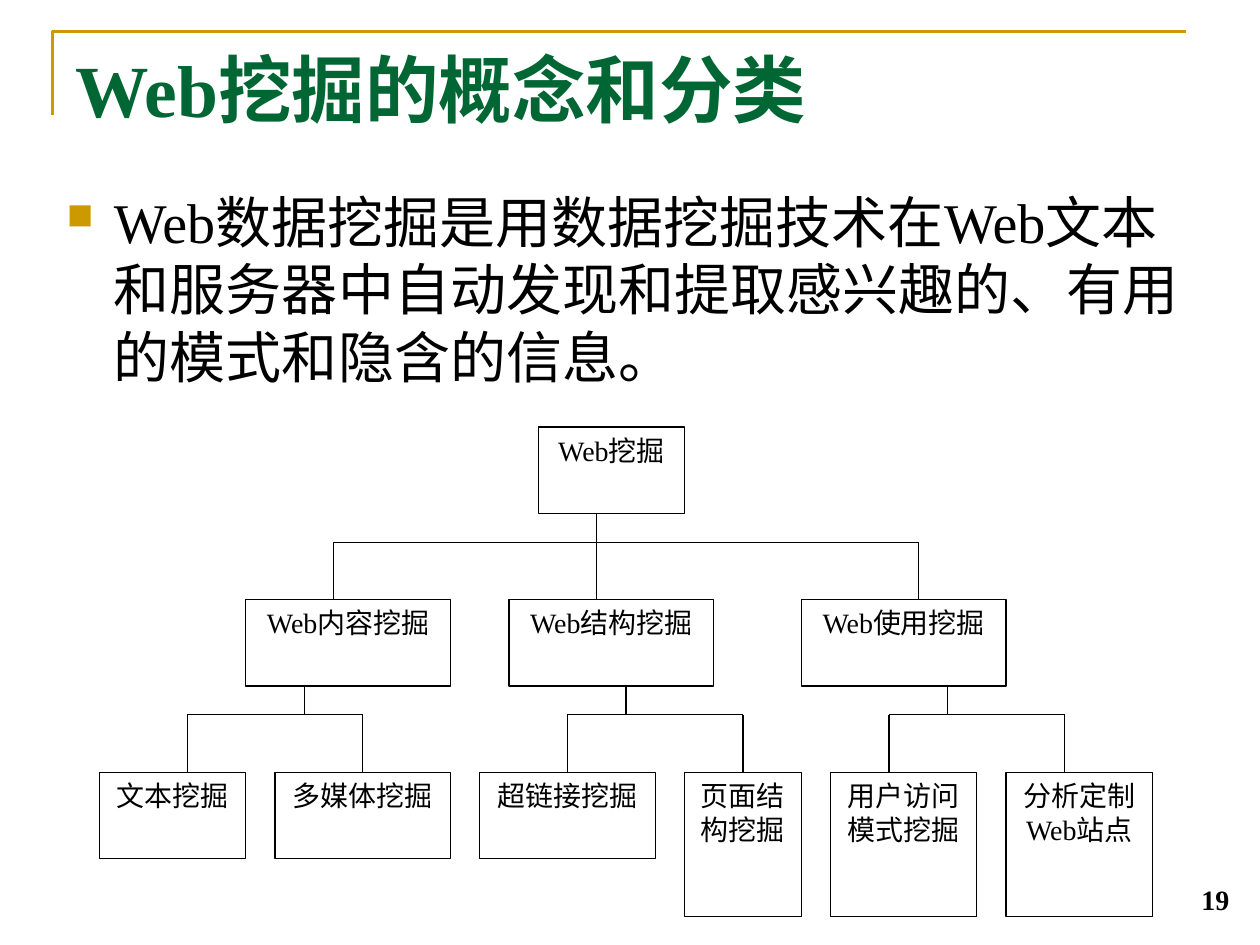
from pptx import Presentation
from pptx.dml.color import RGBColor
from pptx.enum import shapes, text
from pptx.oxml import parse_xml
from pptx.oxml.ns import nsdecls
from pptx.util import Pt

HUES = {"gold": "CC9900", "green": "006633", "ink": "000000", "paper": "FFFFFF"}
FONT = "Times New Roman"
LEFT, TOP = 56.9, 244
COL, ROW = 16.71, 16.45

TITLE = "Web挖掘的概念和分类"
BODY = "Web数据挖掘是用数据挖掘技术在Web文本和服务器中自动发现和提取感兴趣的、有用的模式和隐含的信息。"
NUMBER = "19"
# label, column, row, columns wide, rows high
NODES = [
    ("Web挖掘", 15, 0, 5, 3),
    ("Web内容挖掘", 5, 6, 7, 3),
    ("Web结构挖掘", 14, 6, 7, 3),
    ("Web使用挖掘", 24, 6, 7, 3),
    ("文本挖掘", 0, 12, 5, 3),
    ("多媒体挖掘", 6, 12, 6, 3),
    ("超链接挖掘", 13, 12, 6, 3),
    ("页面结构挖掘", 20, 12, 4, 5),
    ("用户访问模式挖掘", 25, 12, 5, 5),
    ("分析定制Web站点", 31, 12, 5, 5),
]
# stem column, stem row, drop columns
FORKS = [
    (17, 3, (8, 17, 28)),
    (7, 9, (3, 9)),
    (18, 9, (16, 22)),
    (29, 9, (27, 33)),
]

deck = Presentation()
deck.slide_width, deck.slide_height = Pt(720), Pt(540)
slide = deck.slides.add_slide(deck.slide_layouts[6])
parts = slide.shapes


def hue(name):
    return RGBColor.from_string(HUES[name])


def spot(col, row):
    return Pt(LEFT + col * COL), Pt(TOP + row * ROW)


def write(shape, words, size, color="ink", bold=False,
          align=text.PP_ALIGN.LEFT, anchor=text.MSO_ANCHOR.TOP):
    frame = shape.text_frame
    frame.word_wrap = True
    frame.vertical_anchor = anchor
    frame.text = words
    para = frame.paragraphs[0]
    para.alignment = align
    font = para.runs[0].font
    font.name, font.size, font.bold = FONT, Pt(size), bold
    font.color.rgb = hue(color)
    return para


def box(x, y, w, h):
    return parts.add_textbox(Pt(x), Pt(y), Pt(w), Pt(h))


def link(start, end):
    line = parts.add_connector(shapes.MSO_CONNECTOR.STRAIGHT, *start, *end)
    line.line.color.rgb = hue("ink")
    line.line.width = Pt(0.74)
    line._element.spPr.append(parse_xml(f"<a:effectLst {nsdecls('a')}/>"))


pen = parts.build_freeform(Pt(30), Pt(66))
pen.add_line_segments([(Pt(30), Pt(18)), (Pt(678), Pt(18))], close=False)
frame = pen.convert_to_shape()
frame.shadow.inherit = False
frame.fill.background()
frame.line.color.rgb = hue("gold")
frame.line.width = Pt(1.5)

write(box(36, 21.6, 648, 72.7), TITLE, 42, "green", True)

para = write(box(31, 103.7, 669, 144), BODY, 32)
para.space_before = Pt(8)
props = para._p.get_or_add_pPr()
props.set("marL", str(Pt(27)))
props.set("indent", str(Pt(-27)))
for tag in (f'<a:buClr {nsdecls("a")}><a:srgbClr val="{HUES["gold"]}"/></a:buClr>',
            f'<a:buSzPct {nsdecls("a")} val="65000"/>',
            f'<a:buChar {nsdecls("a")} char="■"/>'):
    props.append(parse_xml(tag))

write(box(541.5, 491, 168, 36), NUMBER, 16, bold=True,
      align=text.PP_ALIGN.RIGHT, anchor=text.MSO_ANCHOR.BOTTOM)

for label, col, row, wide, high in NODES:
    node = parts.add_shape(shapes.MSO_SHAPE.RECTANGLE, *spot(col, row),
                           Pt(wide * COL), Pt(high * ROW))
    node.shadow.inherit = False
    node.fill.solid()
    node.fill.fore_color.rgb = hue("paper")
    node.line.color.rgb = hue("ink")
    node.line.width = Pt(0.74)
    write(node, label, 16, align=text.PP_ALIGN.CENTER)

for stem, row, drops in FORKS:
    bar = row + 1
    link(spot(stem, row), spot(stem, bar))
    link(spot(drops[0], bar), spot(drops[-1], bar))
    for col in drops:
        link(spot(col, bar), spot(col, row + 3))

deck.save("out.pptx")
